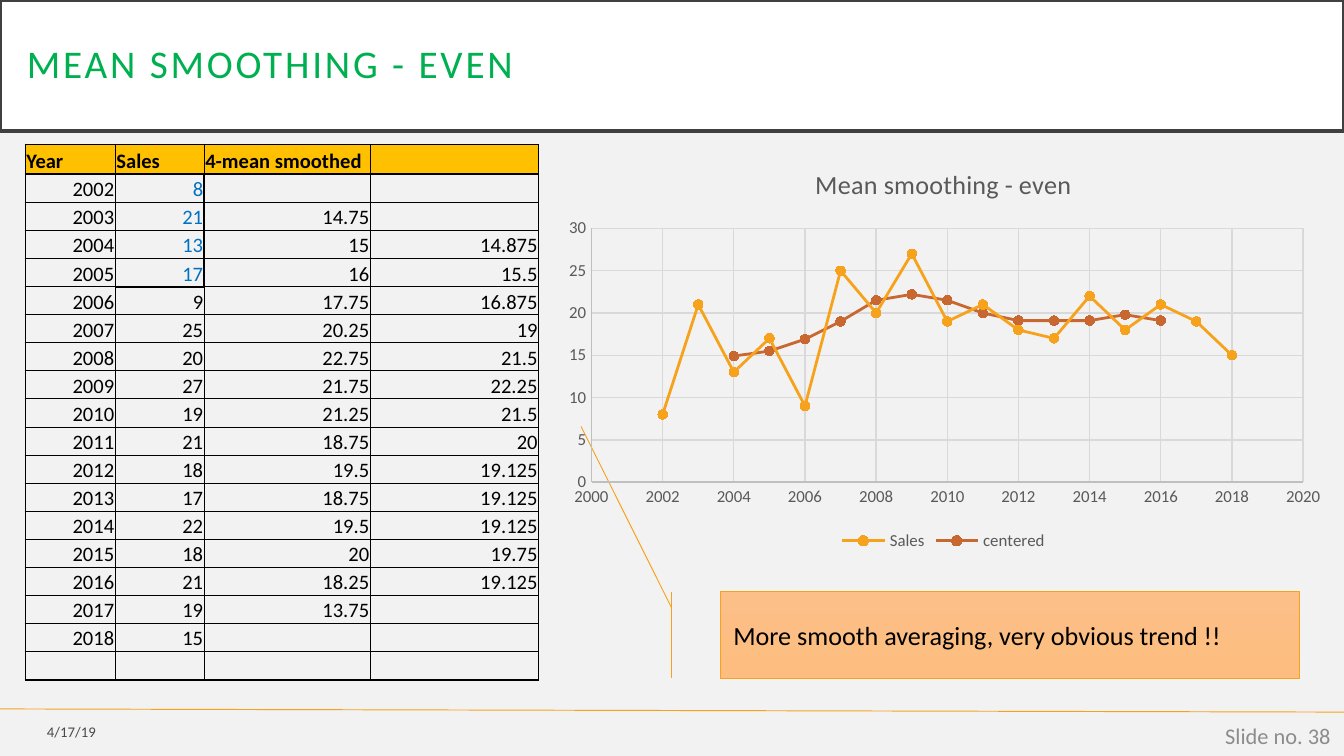
import pptx
import pptx.chart.data
import pptx.dml.color
import pptx.enum.chart
import pptx.enum.shapes
import pptx.enum.text
import pptx.oxml
import pptx.oxml.ns
import pptx.util
from lxml import etree

Cm = pptx.util.Cm
Pt = pptx.util.Pt
RGBColor = pptx.dml.color.RGBColor
PP_ALIGN = pptx.enum.text.PP_ALIGN
MSO_ANCHOR = pptx.enum.text.MSO_ANCHOR
MSO_SHAPE = pptx.enum.shapes.MSO_SHAPE
qn = pptx.oxml.ns.qn

FONT = "Calibri"
BACKGROUND = RGBColor(0xF2, 0xF2, 0xF2)
WHITE = RGBColor(0xFF, 0xFF, 0xFF)
BLACK = RGBColor(0x00, 0x00, 0x00)
FRAME = RGBColor(0x40, 0x40, 0x40)
GREEN = RGBColor(0x00, 0xB0, 0x50)
BLUE = RGBColor(0x00, 0x70, 0xC0)
GOLD = RGBColor(0xFF, 0xC0, 0x00)
ORANGE = RGBColor(0xF6, 0xA2, 0x1D)
RUST = RGBColor(0xC9, 0x67, 0x31)
CALLOUT_TOP = RGBColor(0xFC, 0xBF, 0x87)
CALLOUT_BOTTOM = RGBColor(0xFD, 0xBD, 0x80)
DATE_GRAY = RGBColor(0x49, 0x49, 0x49)
NUMBER_GRAY = RGBColor(0x8C, 0x8C, 0x8C)
CHART_TEXT = RGBColor(0x59, 0x59, 0x59)
AXIS_LINE = RGBColor(0xBF, 0xBF, 0xBF)
GRID_LINE = RGBColor(0xD9, 0xD9, 0xD9)

YEARS = range(2002, 2019)
SALES = [8, 21, 13, 17, 9, 25, 20, 27, 19, 21, 18, 17, 22, 18, 21, 19, 15]
SMOOTHED = ["", 14.75, 15, 16, 17.75, 20.25, 22.75, 21.75, 21.25, 18.75, 19.5,
            18.75, 19.5, 20, 18.25, 13.75, ""]
CENTERED = ["", "", 14.875, 15.5, 16.875, 19, 21.5, 22.25, 21.5, 20, 19.125,
            19.125, 19.125, 19.75, 19.125, "", ""]


def write_text(text_frame, text, size, color, bold=False, align=PP_ALIGN.LEFT,
               spacing=0, line_spacing=None):
    paragraph = text_frame.paragraphs[0]
    paragraph.alignment = align
    paragraph.line_spacing = line_spacing
    if not text:
        paragraph._p.get_or_add_endParaRPr().set("sz", str(size * 100))
        return
    run = paragraph.add_run()
    run.text = text
    run.font.name = FONT
    run.font.size = Pt(size)
    run.font.bold = bold
    run.font.color.rgb = color
    if spacing:
        run._r.get_or_add_rPr().set("spc", str(int(spacing * 100)))


def set_borders(cell, widths):
    """Draw black borders; widths are points for left, right, top, bottom."""
    properties = cell._tc.get_or_add_tcPr()
    for position, (side, width) in enumerate(zip("LRTB", widths)):
        line = etree.Element(qn(f"a:ln{side}"), w=str(Pt(width)))
        fill = etree.SubElement(line, qn("a:solidFill"))
        etree.SubElement(fill, qn("a:srgbClr"), val=str(BLACK))
        properties.insert(position, line)


presentation = pptx.Presentation()
presentation.slide_width = Cm(25.4)
presentation.slide_height = Cm(14.29)
slide = presentation.slides.add_slide(presentation.slide_layouts[6])
slide.background.fill.solid()
slide.background.fill.fore_color.rgb = BACKGROUND
shapes = slide.shapes

# Footer rule
footer_line = shapes.add_connector(
    pptx.enum.shapes.MSO_CONNECTOR.STRAIGHT, 0, Cm(13.4), Cm(25.4), Cm(13.46))
footer_line.line.color.rgb = ORANGE
footer_line.line.width = Pt(0.5)
etree.SubElement(footer_line._element.spPr, qn("a:effectLst"))

# Title band
title = shapes.add_shape(MSO_SHAPE.RECTANGLE, 0, 0, Cm(25.4), Cm(2.48))
title.shadow.inherit = False
title.fill.solid()
title.fill.fore_color.rgb = WHITE
title.line.color.rgb = FRAME
title.line.width = Pt(2.5)
title.text_frame.word_wrap = True
title.text_frame.margin_left = title.text_frame.margin_right = Cm(0.51)
title.text_frame.vertical_anchor = MSO_ANCHOR.MIDDLE
write_text(title.text_frame, "MEAN SMOOTHING - EVEN", size=21, color=GREEN,
           spacing=1.5, line_spacing=0.9)

# Date and slide number
for text, left, top, width, height, size, color in [
    ("4/17/19", 0, 13.49, 2.06, 0.69, 7.9, DATE_GRAY),
    ("Slide no. 38", 19.69, 13.53, 5.71, 0.76, 12, NUMBER_GRAY),
]:
    footer = shapes.add_textbox(Cm(left), Cm(top), Cm(width), Cm(height))
    footer.text_frame.word_wrap = True
    footer.text_frame.vertical_anchor = MSO_ANCHOR.MIDDLE
    write_text(footer.text_frame, text, size=size, color=color, align=PP_ALIGN.RIGHT)

# Sales table
rows = [("Year", "Sales", "4-mean smoothed", ""),
        *zip(YEARS, SALES, SMOOTHED, CENTERED),
        ("", "", "", "")]
column_widths = [1.7, 1.68, 3.14, 3.18]
row_heights = [0.53] * len(rows)
row_heights[0] = 0.56
row_heights[4] = row_heights[-1] = 0.54
last_row, last_column = len(rows) - 1, len(column_widths) - 1
table = shapes.add_table(len(rows), len(column_widths), Cm(0.48), Cm(2.73),
                         Cm(sum(column_widths)), Cm(sum(row_heights))).table
table.first_row = table.horz_banding = False
for column, width in zip(table.columns, column_widths):
    column.width = Cm(width)
for row_index, values in enumerate(rows):
    table.rows[row_index].height = Cm(row_heights[row_index])
    header = row_index == 0
    boxed_row = 1 <= row_index <= 4
    for column_index, value in enumerate(values):
        cell = table.cell(row_index, column_index)
        cell.margin_left = cell.margin_right = cell.margin_top = Cm(0.02)
        cell.margin_bottom = 0
        cell.vertical_anchor = MSO_ANCHOR.BOTTOM
        if header:
            cell.fill.solid()
            cell.fill.fore_color.rgb = GOLD
        else:
            cell.fill.background()
        boxed = boxed_row and column_index == 1
        write_text(cell.text_frame, str(value), size=11, bold=header,
                   color=BLUE if boxed else BLACK,
                   align=PP_ALIGN.LEFT if header else PP_ALIGN.RIGHT)
        thick_sides = (
            column_index == 0 or boxed_row and column_index in (1, 2),
            column_index == last_column or boxed_row and column_index in (0, 1),
            row_index in (0, 1) or row_index == 5 and column_index == 1,
            row_index in (0, last_row) or row_index == 4 and column_index == 1,
        )
        set_borders(cell, [1 if thick else 0.5 for thick in thick_sides])

# Callout
callout = shapes.add_shape(MSO_SHAPE.LINE_CALLOUT_1_BORDER_AND_ACCENT_BAR,
                           Cm(13.61), Cm(11.19), Cm(10.95), Cm(1.63))
for index, adjustment in enumerate([0.19, -1 / 12, -1.92, -0.24]):
    callout.adjustments[index] = adjustment
callout.shadow.inherit = False
callout.fill.gradient()
callout.fill.gradient_angle = 270
for stop, color in zip(callout.fill.gradient_stops, [CALLOUT_TOP, CALLOUT_BOTTOM]):
    stop.color.rgb = color
callout.line.color.rgb = ORANGE
callout.line.width = Pt(0.5)
callout.text_frame.word_wrap = True
callout.text_frame.vertical_anchor = MSO_ANCHOR.MIDDLE
write_text(callout.text_frame, "More smooth averaging, very obvious trend !!",
           size=14, color=BLACK)

# Scatter chart over the table's body rows; empty cells become gaps
chart_data = pptx.chart.data.XyChartData()
for name, column_index in [("Sales", 1), ("centered", 3)]:
    series_data = chart_data.add_series(name)
    for row in rows[1:]:
        value = row[column_index]
        series_data.add_data_point(row[0] or None, round(value, 1) if value else None)
chart = shapes.add_chart(pptx.enum.chart.XL_CHART_TYPE.XY_SCATTER_LINES, Cm(10.44),
                         Cm(2.77), Cm(14.78), Cm(7.74), chart_data).chart
for point in list(chart._chartSpace.iter(qn("c:pt"))):
    if point.findtext(qn("c:v")) in ("None", ""):
        point.getparent().remove(point)
chart.font.name = FONT
chart.font.size = Pt(10)
chart.font.color.rgb = BLACK
chart.has_title = True
write_text(chart.chart_title.text_frame, "Mean smoothing - even", size=14,
           color=CHART_TEXT, align=PP_ALIGN.CENTER)
chart.has_legend = True
chart.legend.position = pptx.enum.chart.XL_LEGEND_POSITION.BOTTOM
chart.legend.include_in_layout = False
chart.legend.font.name = FONT
chart.legend.font.size = Pt(9)
chart.legend.font.color.rgb = CHART_TEXT
chart.plots[0].vary_by_categories = False
for series, color in zip(chart.plots[0].series, [ORANGE, RUST]):
    series.format.line.color.rgb = color
    series.format.line.width = Pt(1.5)
    series.marker.style = pptx.enum.chart.XL_MARKER_STYLE.CIRCLE
    series.marker.size = 5
    series.marker.format.fill.solid()
    series.marker.format.fill.fore_color.rgb = color
    series.marker.format.line.color.rgb = color
for axis, minimum, maximum, step in [(chart.category_axis, 2000, 2020, 2),
                                     (chart.value_axis, 0, 30, 5)]:
    axis.minimum_scale, axis.maximum_scale, axis.major_unit = minimum, maximum, step
    axis.major_tick_mark = axis.minor_tick_mark = pptx.enum.chart.XL_TICK_MARK.NONE
    axis.tick_labels.font.name = FONT
    axis.tick_labels.font.size = Pt(9)
    axis.tick_labels.font.color.rgb = CHART_TEXT
    axis.has_major_gridlines = True
    for line, color in [(axis.format.line, AXIS_LINE),
                        (axis.major_gridlines.format.line, GRID_LINE)]:
        line.color.rgb = color
        line.width = Pt(0.75)

# Inner plot area as fractions of the chart
plot_area = chart._chartSpace.chart.plotArea
for layout in plot_area.findall(qn("c:layout")):
    plot_area.remove(layout)
layout = etree.Element(qn("c:layout"))
manual_layout = etree.SubElement(layout, qn("c:manualLayout"))
for tag, value in [("layoutTarget", "inner"), ("xMode", "edge"), ("yMode", "edge"),
                   ("x", "0.05"), ("y", "0.2"), ("w", "0.91"), ("h", "0.62")]:
    etree.SubElement(manual_layout, qn(f"c:{tag}"), val=value)
plot_area.insert(0, layout)

presentation.save("out.pptx")
